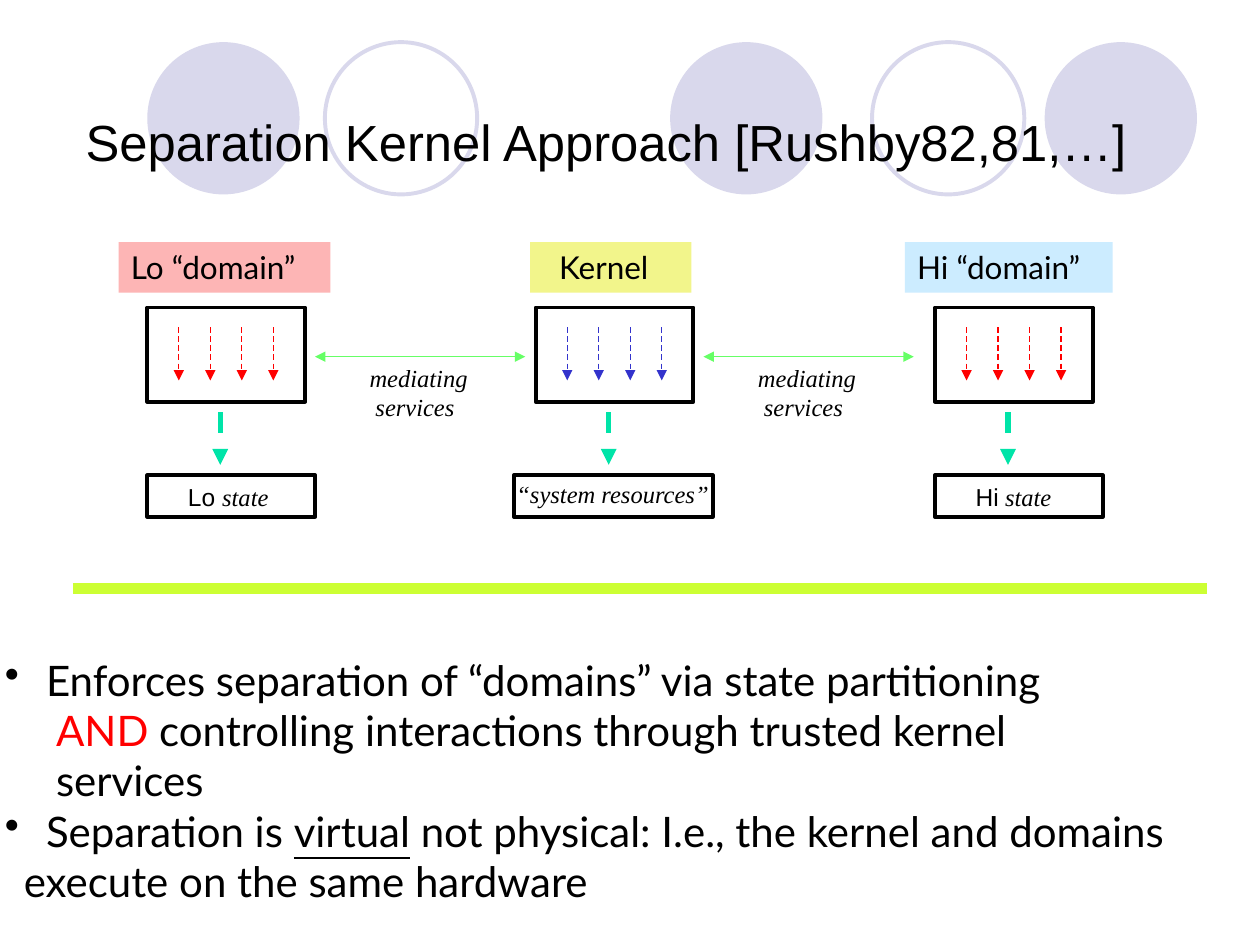
from pptx import Presentation
from pptx.dml.color import RGBColor
from pptx.enum.dml import MSO_LINE
from pptx.enum.shapes import MSO_CONNECTOR as CONN, MSO_SHAPE as SHAPE
from pptx.enum.text import MSO_ANCHOR as ANCHOR, PP_ALIGN as ALIGN
from pptx.oxml.ns import qn
from pptx.util import Cm, Pt
from lxml.etree import SubElement

COLORS = {
    "black": "000000", "white": "FFFFFF", "lavender": "D9D8EC", "red": "FF0000",
    "blue": "3333CC", "teal": "00E4A8", "green": "66FF66", "lime": "CCFF33",
    "pink": "FDB5B5", "yellow": "F2F58B", "sky": "CCECFF",
}
SANS, BODY, SERIF = "Arial", "Lato", "Times New Roman"


def color(name):
    return RGBColor.from_string(COLORS[name])


class SlideBuilder:
    def __init__(self, prs):
        self.slide = prs.slides.add_slide(prs.slide_layouts[5])
        self.shapes = self.slide.shapes

    def format_run(self, r, size, font, name="black", italic=False, underline=False):
        r.font.size, r.font.name = Pt(size), font
        r.font.italic, r.font.underline = italic, underline
        r.font.color.rgb = color(name)

    def title(self, text, x, y, w, h):
        sp = self.shapes.title
        self.shapes._spTree.append(sp._element)  # in front of the circles
        sp.left, sp.top, sp.width, sp.height = Cm(x), Cm(y), Cm(w), Cm(h)
        tf = sp.text_frame
        tf.text = text
        tf.vertical_anchor = ANCHOR.MIDDLE
        p = tf.paragraphs[0]
        p.alignment = ALIGN.LEFT
        self.format_run(p.runs[0], 29, SANS)

    def shape(self, kind, x, y, w, h, fill=None, line=None):
        sp = self.shapes.add_shape(kind, Cm(x), Cm(y), Cm(w), Cm(h))
        sp.shadow.inherit = False
        if fill:
            sp.fill.solid()
            sp.fill.fore_color.rgb = color(fill)
        else:
            sp.fill.background()
        if line:
            sp.line.color.rgb = color(line)
            sp.line.width = Pt(2.25)
        else:
            sp.line.fill.background()
        return sp

    def box(self, x, y, w, h):
        return self.shape(SHAPE.RECTANGLE, x, y, w, h, "white", "black")

    def label(self, text, x, y, w, h, fill, inset=0.25):
        sp = self.shape(SHAPE.RECTANGLE, x, y, w, h, fill)
        tf = sp.text_frame
        tf.word_wrap = False
        tf.vertical_anchor = ANCHOR.TOP
        tf.margin_left = Cm(inset)
        tf.text = text
        p = tf.paragraphs[0]
        p.alignment = ALIGN.LEFT
        self.format_run(p.runs[0], 18, BODY)

    def line(self, x1, y1, x2, y2, name, width=0.75, dash=False, ends=()):
        ln = self.shapes.add_connector(CONN.STRAIGHT, Cm(x1), Cm(y1), Cm(x2), Cm(y2))
        ln.line.color.rgb = color(name)
        ln.line.width = Pt(width)
        if dash:
            ln.line.dash_style = MSO_LINE.DASH
        for end in ends:
            SubElement(ln.line._get_or_add_ln(), qn(f"a:{end}"), type="triangle")
        SubElement(ln._element.spPr, qn("a:effectLst"))

    def text(self, paragraphs, x, y, w, h, size, inset=0.25):
        """Each paragraph is (indent in cm, bulleted, [(text, run style), ...])."""
        tf = self.shapes.add_textbox(Cm(x), Cm(y), Cm(w), Cm(h)).text_frame
        tf.word_wrap = True
        tf.margin_left = Cm(inset)
        for i, (indent, bulleted, runs) in enumerate(paragraphs):
            p = tf.add_paragraph() if i else tf.paragraphs[0]
            pPr = p._p.get_or_add_pPr()
            pPr.set("marL", str(Cm(indent)))
            if bulleted:
                pPr.set("indent", str(-Cm(indent)))
                SubElement(pPr, qn("a:buChar"), char="•")
            for words, style in runs:
                r = p.add_run()
                r.text = words
                self.format_run(r, size, **style)


def main():
    prs = Presentation()
    prs.slide_width, prs.slide_height = Cm(25.4), Cm(19.05)
    s = SlideBuilder(prs)

    # Decorative circles
    for x in (13.51, 21.06, 2.97):
        s.shape(SHAPE.OVAL, x, 0.85, 3.07, 3.07, fill="lavender")
    for x in (17.58, 6.55):
        s.shape(SHAPE.OVAL, x, 0.85, 3.07, 3.07, line="lavender")
    s.title("Separation Kernel Approach [Rushby82,81,…]", 1.47, 0.81, 21.64, 4.06)

    # Bulleted claims
    body = {"font": BODY}
    s.text([
        (0.83, True, [("Enforces separation of “domains” via state partitioning", body)]),
        (1.03, False, [("AND", {"font": BODY, "name": "red"}),
                       (" controlling interactions through trusted kernel", body)]),
        (1.03, False, [("services", body)]),
        (0.83, True, [("Separation is ", body),
                      ("virtual", {"font": BODY, "underline": True}),
                      (" not physical: I.e., the kernel and domains", body)]),
        (0.38, False, [("execute on the same hardware", body)]),
    ], -0.15, 13.06, 25.68, 5.33, 24)

    # Columns: label (text, x, width, fill, inset), box x, thread colour,
    # state box (x, width), state text (runs, x, y, width, inset)
    sans, serif = {"font": SANS}, {"font": SERIF, "italic": True}
    columns = [
        (("Kernel", 10.69, 3.25, "yellow", 0.58), 10.8, "blue", (10.36, 4.01),
         ([("“system resources”", serif)], 10.16, 9.53, 4.6, 0.25)),
        (("Lo “domain”", 2.39, 4.27, "pink", 0.25), 2.97, "red", (2.97, 3.38),
         ([("Lo ", sans), ("state", serif)], 2.79, 9.6, 3.56, 1)),
        (("Hi “domain”", 18.24, 4.19, "sky", 0.25), 18.85, "red", (18.85, 3.38),
         ([("Hi", sans), (" state", serif)], 18.67, 9.6, 3.56, 1)),
    ]
    for label, box_x, thread, state, state_text in columns:
        words, x, w, fill, inset = label
        s.label(words, x, 4.88, w, 1.02, fill, inset)
        s.box(box_x, 6.2, 3.18, 1.9)
        for i in range(1, 5):
            x = box_x + 0.635 * i
            s.line(x, 6.6, x, 7.67, thread, dash=True, ends=["tailEnd"])
        s.box(state[0], 9.58, state[1], 0.84)
        runs, x, y, w, inset = state_text
        s.text([(0, False, runs)], x, y, w, 1.45, 14, inset)
        x = box_x + 1.47
        s.line(x, 8.31, x, 9.37, "teal", 3, dash=True, ends=["tailEnd"])

    # Mediating services between the columns
    for x in (6.35, 14.18):
        s.line(x, 7.19, x + 4.24, 7.19, "green", ends=["headEnd", "tailEnd"])
        s.text([(0, False, [("mediating", serif)]), (0.12, False, [("services", serif)])],
               x + 0.85, 7.19, 2.6, 1.45, 14)

    # Divider
    s.line(1.47, 11.86, 24.33, 11.86, "lime", 6)

    prs.save("out.pptx")


if __name__ == "__main__":
    main()
